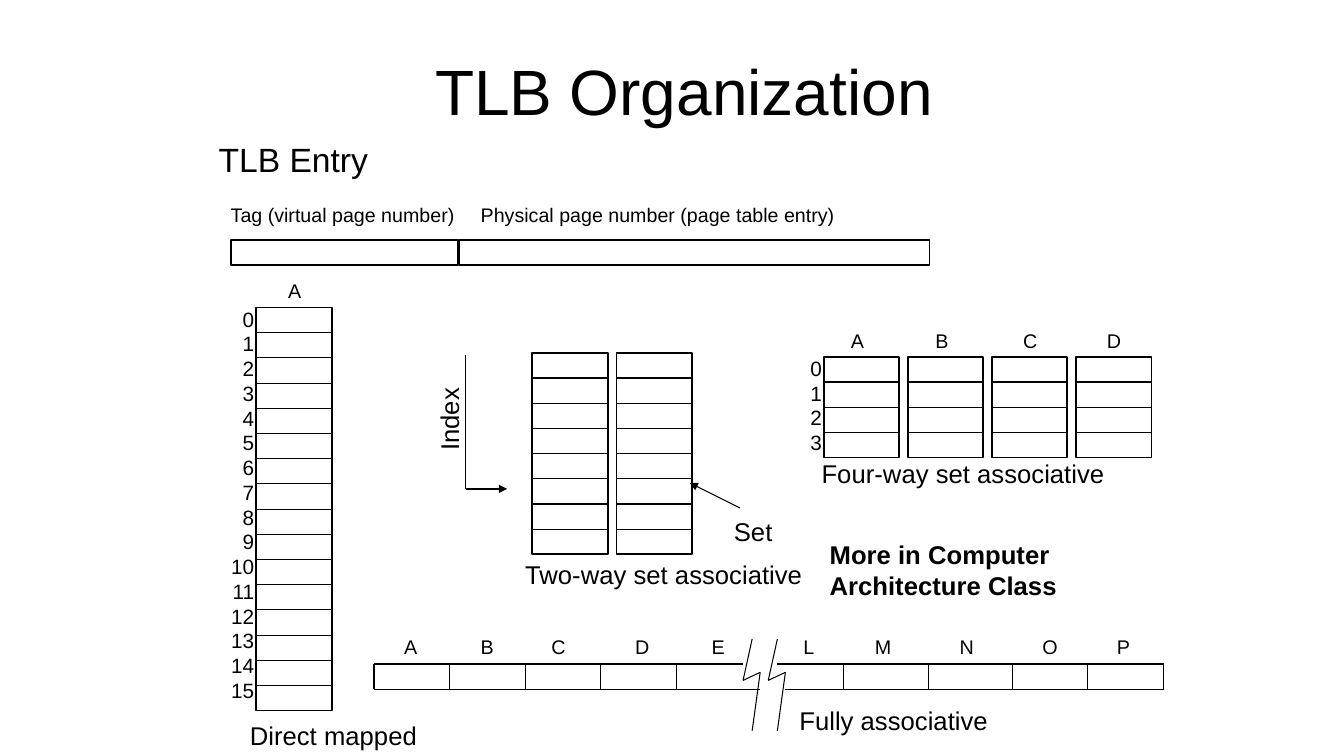
from dataclasses import dataclass
from itertools import pairwise

import pptx
import pptx.dml.color
import pptx.enum.shapes
import pptx.enum.text
import pptx.oxml
import pptx.oxml.ns
import pptx.util
from pptx.util import Inches

COLORS = {"ink": "000000", "paper": "FFFFFF"}
FONT = "Arial"
ROW = 0.25
BANK_WIDTH = 0.75
BANK_PITCH = 2.5 / 3
THIN, MEDIUM, THICK = 0.75, 1, 1.25
LETTER_SIZE, INDEX_SIZE, CAPTION_SIZE = 14.1, 14.8, 18.3
ALIGN = pptx.enum.text.PP_ALIGN
ANCHOR = pptx.enum.text.MSO_ANCHOR


@dataclass(frozen=True)
class Caption:
    text: str
    left: float
    top: float
    width: float
    height: float = 0.41
    size: float = CAPTION_SIZE
    rotation: float = 0


@dataclass(frozen=True)
class Bank:
    left: float
    top: float
    rows: int


@dataclass(frozen=True)
class IndexColumn:
    left: float
    top: float
    width: float
    rows: int


@dataclass(frozen=True)
class LetterRow:
    letters: str
    lefts: tuple[float, ...]
    top: float


@dataclass(frozen=True)
class Stroke:
    start: tuple[float, float]
    end: tuple[float, float]
    weight: float = THIN
    arrow: bool = False


ENTRY_CAPTIONS = [
    Caption("TLB Entry", 2.07, 1.33, 1.7, 0.5, 24),
    Caption("Tag (virtual page number)", 2.19, 1.96, 2.43, 0.34, 14),
    Caption("Physical page number (page table entry)", 4.67, 1.96, 3.73, 0.34, 14),
]
ORGANIZATION_CAPTIONS = [
    Caption("Direct mapped", 2.38, 7.09, 1.87),
    Caption("Two-way set associative", 5.11, 5.5, 2.96),
    Caption("Set", 7.18, 5.07, 0.59),
    Caption("Index", 4.04, 3.95, 0.83, rotation=270),
    Caption("Four-way set associative", 8.05, 4.49, 3.02),
    Caption("Fully associative", 7.83, 6.94, 2.08),
]
BANKS = [
    Bank(2.54, 3.05, 16),
    *(Bank(5.28 + way * BANK_PITCH, 3.5, 8) for way in range(2)),
    *(Bank(8.17 + way * BANK_PITCH, 3.54, 4) for way in range(4)),
]
INDEX_COLUMNS = [IndexColumn(2.19, 2.99, 0.43, 16), IndexColumn(7.93, 3.48, 0.32, 4)]
LETTER_ROWS = [
    LetterRow("A", (2.76,), 2.72),
    LetterRow("ABCD", (8.34, 9.18, 10.05, 10.88), 3.21),
    LetterRow("ABCDELMNOP",
              (3.91, 4.67, 5.37, 6.2, 6.96, 7.87, 8.58, 9.42, 10.24, 10.98), 6.25),
]
POINTERS = [
    Stroke((7.34, 5.04), (6.84, 4.79), arrow=True),
    Stroke((4.62, 3.52), (4.62, 4.85), MEDIUM),
    Stroke((4.62, 4.85), (5.03, 4.85), MEDIUM, arrow=True),
]

FULL_LEFT, FULL_RIGHT, FULL_TOP = 3.71, 11.54, 6.59
FULL_BOTTOM = FULL_TOP + ROW
FULL_OUTLINE = [
    ((FULL_LEFT, FULL_TOP), (FULL_LEFT, FULL_BOTTOM)),
    ((FULL_LEFT, FULL_TOP), (7.37, FULL_TOP)),
    ((FULL_LEFT, FULL_BOTTOM), (7.54, FULL_BOTTOM)),
    ((FULL_RIGHT, FULL_BOTTOM), (FULL_RIGHT, FULL_TOP)),
    ((7.79, FULL_BOTTOM), (FULL_RIGHT, FULL_BOTTOM)),
    ((FULL_RIGHT, FULL_TOP), (7.71, FULL_TOP)),
]
FULL_DIVIDERS = [4.46, 5.21, 5.96, 6.71, 8.37, 9.21, 10.04, 10.79]
BREAK_MARK = [(7.46, 6.34), (7.37, 6.75), (7.54, 6.67), (7.46, 7.25)]
BREAK_GAP = 0.25


def rgb(name: str) -> pptx.dml.color.RGBColor:
    return pptx.dml.color.RGBColor.from_string(COLORS[name])


def add_text(slide, text: str, left: float, top: float, width: float, height: float, *,
             size: float, bold: bool = False, align=ALIGN.LEFT, anchor=ANCHOR.TOP,
             wrap: bool = False, rotation: float = 0,
             line_spacing: float | None = None) -> None:
    """Place text; each line of the string becomes one paragraph."""
    box = slide.shapes.add_textbox(Inches(left), Inches(top), Inches(width), Inches(height))
    box.rotation = rotation
    frame = box.text_frame
    frame.text = text
    frame.word_wrap = wrap
    frame.vertical_anchor = anchor
    for paragraph in frame.paragraphs:
        paragraph.alignment = align
        if line_spacing:
            paragraph.line_spacing = pptx.util.Pt(line_spacing)
        paragraph.font.name = FONT
        paragraph.font.size = pptx.util.Pt(size)
        paragraph.font.bold = bold
        paragraph.font.color.rgb = rgb("ink")


def add_stroke(slide, stroke: Stroke) -> None:
    line = slide.shapes.add_connector(
        pptx.enum.shapes.MSO_CONNECTOR.STRAIGHT,
        *(Inches(value) for value in (*stroke.start, *stroke.end)))
    line.line.color.rgb = rgb("ink")
    line.line.width = pptx.util.Pt(stroke.weight)
    properties = line._element.spPr
    if stroke.arrow:
        head = pptx.oxml.ns.qn("a:tailEnd")
        properties.find(pptx.oxml.ns.qn("a:ln")).makeelement(head)
        tail = pptx.oxml.parse_xml(
            f'<a:tailEnd {pptx.oxml.ns.nsdecls("a")} type="triangle"/>')
        properties.find(pptx.oxml.ns.qn("a:ln")).append(tail)
    properties.append(pptx.oxml.parse_xml(f'<a:effectLst {pptx.oxml.ns.nsdecls("a")}/>'))


def add_frame(slide, left: float, top: float, width: float, height: float) -> None:
    frame = slide.shapes.add_shape(
        pptx.enum.shapes.MSO_SHAPE.RECTANGLE,
        Inches(left), Inches(top), Inches(width), Inches(height))
    frame.shadow.inherit = False
    frame.fill.solid()
    frame.fill.fore_color.rgb = rgb("paper")
    frame.line.color.rgb = rgb("ink")
    frame.line.width = pptx.util.Pt(THICK)


def add_bank(slide, bank: Bank) -> None:
    add_frame(slide, bank.left, bank.top, BANK_WIDTH, bank.rows * ROW)
    for row in range(1, bank.rows):
        y = bank.top + row * ROW
        add_stroke(slide, Stroke((bank.left, y), (bank.left + BANK_WIDTH, y)))


def add_fully_associative(slide) -> None:
    for start, end in FULL_OUTLINE:
        add_stroke(slide, Stroke(start, end, THICK))
    for x in FULL_DIVIDERS:
        add_stroke(slide, Stroke((x, FULL_TOP), (x, FULL_BOTTOM)))
    for shift in (0, BREAK_GAP):
        for (x1, y1), (x2, y2) in pairwise(BREAK_MARK):
            add_stroke(slide, Stroke((x1 + shift, y1), (x2 + shift, y2)))


def main() -> None:
    deck = pptx.Presentation()
    deck.slide_width, deck.slide_height = Inches(13.33), Inches(7.5)
    slide = deck.slides.add_slide(deck.slide_layouts[6])

    add_text(slide, "TLB Organization", 2.64, 0.19, 8.29, 1.4, size=45.7,
             align=ALIGN.CENTER, anchor=ANCHOR.MIDDLE, wrap=True)
    add_frame(slide, 2.29, 2.38, 2.25, ROW)
    add_frame(slide, 4.55, 2.38, 4.67, ROW)
    for bank in BANKS:
        add_bank(slide, bank)
    add_fully_associative(slide)
    for pointer in POINTERS:
        add_stroke(slide, pointer)

    for column in INDEX_COLUMNS:
        add_text(slide, "\n".join(str(row) for row in range(column.rows)),
                 column.left, column.top, column.width, column.rows * ROW + 0.08,
                 size=INDEX_SIZE, align=ALIGN.RIGHT, line_spacing=17.7)
    for row in LETTER_ROWS:
        for letter, left in zip(row.letters, row.lefts):
            add_text(slide, letter, left, row.top, 0.34, 0.34, size=LETTER_SIZE)
    for caption in ENTRY_CAPTIONS + ORGANIZATION_CAPTIONS:
        add_text(slide, caption.text, caption.left, caption.top, caption.width,
                 caption.height, size=caption.size, rotation=caption.rotation)
    add_text(slide, "More in Computer Architecture Class", 8.13, 5.3, 3.18, 1.02,
             size=CAPTION_SIZE, bold=True, wrap=True)
    deck.save("out.pptx")


if __name__ == "__main__":
    main()
